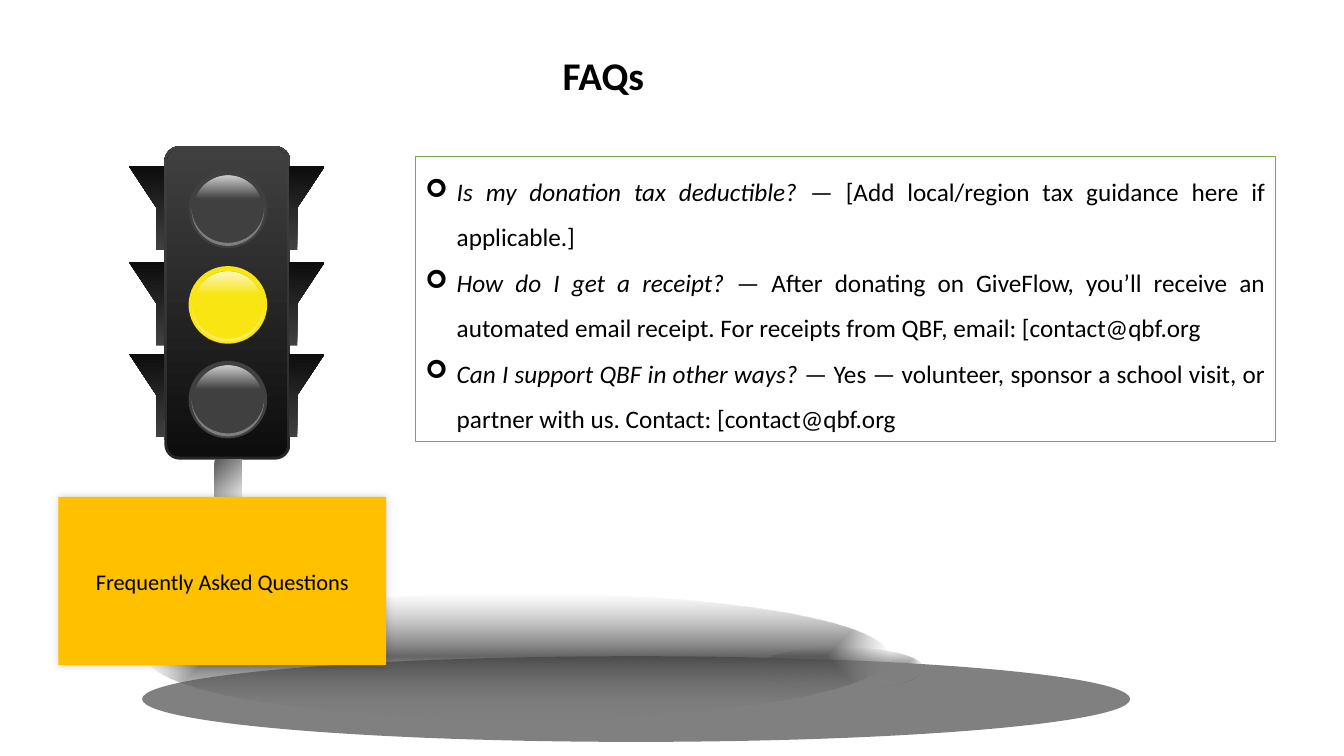
from dataclasses import dataclass
from math import cos, pi, sin

from pptx import Presentation
from pptx.dml.color import RGBColor
from pptx.enum.shapes import MSO_SHAPE
from pptx.enum.text import MSO_ANCHOR, MSO_AUTO_SIZE, PP_ALIGN
from pptx.oxml import parse_xml
from pptx.oxml.ns import nsdecls, qn
from pptx.util import Inches, Pt


@dataclass(frozen=True)
class Theme:
    font: str = "Calibri"
    title: int = 28
    body: int = 18
    label: int = 16
    ink: str = "000000"
    paper: str = "FFFFFF"
    border: str = "70AD47"
    sign: str = "FFC000"
    floor: str = "808080"
    lamp_off: str = "404040"
    lamp_on: str = "F8E512"
    black: str = "0D0D0D"
    rim: tuple = ("262626", "363636", "404040")
    pole: tuple = ("595959", "F2F2F2", "FFFFFF")


T = Theme()


def paint(shape, *stops, angle=None):
    """Fill with (position, colour, alpha) stops: one is solid, no angle is radial."""
    colors = [f'<a:srgbClr val="{c}"><a:alpha val="{a * 1000}"/></a:srgbClr>'
              for _, c, a in stops]
    if len(stops) == 1:
        xml = f'<a:solidFill {nsdecls("a")}>{colors[0]}</a:solidFill>'
    else:
        gs = "".join(f'<a:gs pos="{stop[0] * 1000}">{c}</a:gs>'
                     for stop, c in zip(stops, colors))
        if angle is None:
            way = ('<a:path path="shape"><a:fillToRect l="50000" t="50000" '
                   'r="50000" b="50000"/></a:path>')
        else:
            way = f'<a:lin ang="{angle * 60000}" scaled="0"/>'
        xml = (f'<a:gradFill {nsdecls("a")} rotWithShape="1">'
               f'<a:gsLst>{gs}</a:gsLst>{way}</a:gradFill>')
    shape.fill.background()
    sp_pr = shape._element.spPr
    sp_pr.replace(sp_pr.find(qn("a:noFill")), parse_xml(xml))
    shape.line.fill.background()
    shape.shadow.inherit = False


def set_font(font, size, bold=False):
    font.name, font.size, font.bold = T.font, Pt(size), bold
    font.color.rgb = RGBColor.from_string(T.ink)


prs = Presentation()
prs.slide_width, prs.slide_height = Inches(13.33), Inches(7.5)
s = prs.slides.add_slide(prs.slide_layouts[1])
shapes = s.shapes

# Title
title, faq = s.placeholders
title.left, title.top, title.width, title.height = map(Inches, (4.12, 0.38, 3.73, 0.78))
title.text_frame.text = "FAQs"
p = title.text_frame.paragraphs[0]
p.alignment, p.line_spacing = PP_ALIGN.CENTER, 0.9
set_font(p.font, T.title, bold=True)

# Question list
faq.left, faq.top, faq.width, faq.height = map(Inches, (4.12, 1.55, 8.53, 2.83))
faq.fill.solid()
faq.fill.fore_color.rgb = RGBColor.from_string(T.paper)
faq.line.color.rgb = RGBColor.from_string(T.border)
faq.line.width = Pt(1)
tf = faq.text_frame
tf.auto_size = MSO_AUTO_SIZE.NONE
questions = [
    ("Is my donation tax deductible?",
     " — [Add local/region tax guidance here if applicable.]"),
    ("How do I get a receipt?",
     " — After donating on GiveFlow, you’ll receive an automated email receipt. "
     "For receipts from QBF, email: [contact@qbf.org"),
    ("Can I support QBF in other ways?",
     " — Yes — volunteer, sponsor a school visit, or partner with us. "
     "Contact: [contact@qbf.org"),
]
for i, (question, answer) in enumerate(questions):
    p = tf.add_paragraph() if i else tf.paragraphs[0]
    p.alignment, p.line_spacing = PP_ALIGN.JUSTIFY, 1.5
    p.space_before = Pt(0)
    p_pr = p._p.get_or_add_pPr()
    p_pr.set("marL", str(Inches(0.31)))
    p_pr.set("indent", str(Inches(-0.31)))
    p_pr.append(parse_xml(f'<a:buFont {nsdecls("a")} typeface="Wingdings"/>'))
    p_pr.append(parse_xml(f'<a:buChar {nsdecls("a")} char="➢"/>'))
    set_font(p.font, T.body)
    for text, italic in ((question, True), (answer, False)):
        r = p.add_run()
        r.text, r.font.italic = text, italic

# Shadows on the floor
floor_shadows = [
    ((1.41, 6.51, 9.8, 0.85), [(0, T.floor, 100)]),
    ((7.5, 6.42, 1.66, 0.42), [(0, T.floor, 100), (100, T.floor, 0)]),
    ((1.45, 5.89, 7.36, 1.24), [(0, T.lamp_off, 80), (100, T.floor, 0)]),
]
for box, stops in floor_shadows:
    sp = shapes.add_shape(MSO_SHAPE.OVAL, *map(Inches, box))
    sp._element.spPr.xfrm.set("flipV", "1")
    paint(sp, *stops)

# Traffic light housing: rim, then face
housing = [
    ((1.63, 1.45, 1.25, 3.11), 0.12, list(zip((0, 50, 100), T.rim))),
    ((1.66, 1.48, 1.19, 3.05), 0.1, [(0, T.black), (100, T.lamp_off)]),
]
for box, corner, stops in housing:
    sp = shapes.add_shape(MSO_SHAPE.ROUNDED_RECTANGLE, *map(Inches, box))
    sp.adjustments[0] = corner
    paint(sp, *[(at, color, 100) for at, color in stops], angle=270)

# Visors: the right side mirrors the left
AXIS = 2.25
visor = [(1.28, 0), (1.63, 0), (1.63, 0.83), (1.55, 0.83), (1.55, 0.41)]
for mirrored in (False, True):
    for top in (1.65, 2.6, 3.51):
        pts = [(Inches(2 * AXIS - x if mirrored else x), Inches(top + y))
               for x, y in visor]
        fb = shapes.build_freeform(*pts[0])
        fb.add_line_segments(pts[1:], close=True)
        paint(fb.convert_to_shape(), (0, T.lamp_off, 100), (100, T.black, 100), angle=270)

# Lamps: disc, crescent along the lower edge, gloss on top
LAMP_X, STEPS = 2.26, 24
arc = [pi * i / STEPS for i in range(STEPS + 1)]
for top, color in ((1.69, T.lamp_off), (2.64, T.lamp_on), (3.58, T.lamp_off)):
    disc = shapes.add_shape(MSO_SHAPE.OVAL, *map(Inches, (1.87, top, 0.78, 0.77)))
    paint(disc, (0, color, 100))
    inner = [(LAMP_X - 0.36 * cos(a), top + 0.37 + 0.35 * sin(a)) for a in arc]
    outer = [(LAMP_X + 0.36 * cos(a), top + 0.39 + 0.36 * sin(a)) for a in arc]
    pts = [(Inches(x), Inches(y)) for x, y in inner + outer]
    fb = shapes.build_freeform(*pts[0])
    fb.add_line_segments(pts[1:], close=True)
    paint(fb.convert_to_shape(), (0, T.paper, 33))
    gloss = shapes.add_shape(MSO_SHAPE.OVAL, *map(Inches, (1.92, top + 0.05, 0.68, 0.69)))
    paint(gloss, (0, T.paper, 75), (34, T.paper, 0), angle=90)

# Pole and sign
pole = shapes.add_shape(MSO_SHAPE.RECTANGLE, *map(Inches, (2.13, 4.56, 0.27, 1.12)))
paint(pole, *[(at, c, 100) for at, c in zip((0, 50, 100), T.pole)], angle=45)

sign = shapes.add_shape(MSO_SHAPE.RECTANGLE, *map(Inches, (0.58, 4.93, 3.25, 1.67)))
paint(sign, (0, T.sign, 100))
sign._element.spPr.find(qn("a:effectLst")).append(parse_xml(
    f'<a:outerShdw {nsdecls("a")} blurRad="{Pt(6)}" dist="0" dir="18900000">'
    f'<a:srgbClr val="{T.ink}"><a:alpha val="20000"/></a:srgbClr></a:outerShdw>'))
tf = sign.text_frame
tf.word_wrap, tf.vertical_anchor = True, MSO_ANCHOR.MIDDLE
tf.margin_left = tf.margin_right = Inches(0.2)
tf.text = "Frequently Asked Questions"
p = tf.paragraphs[0]
p.alignment = PP_ALIGN.CENTER
set_font(p.font, T.label)

prs.save("out.pptx")
